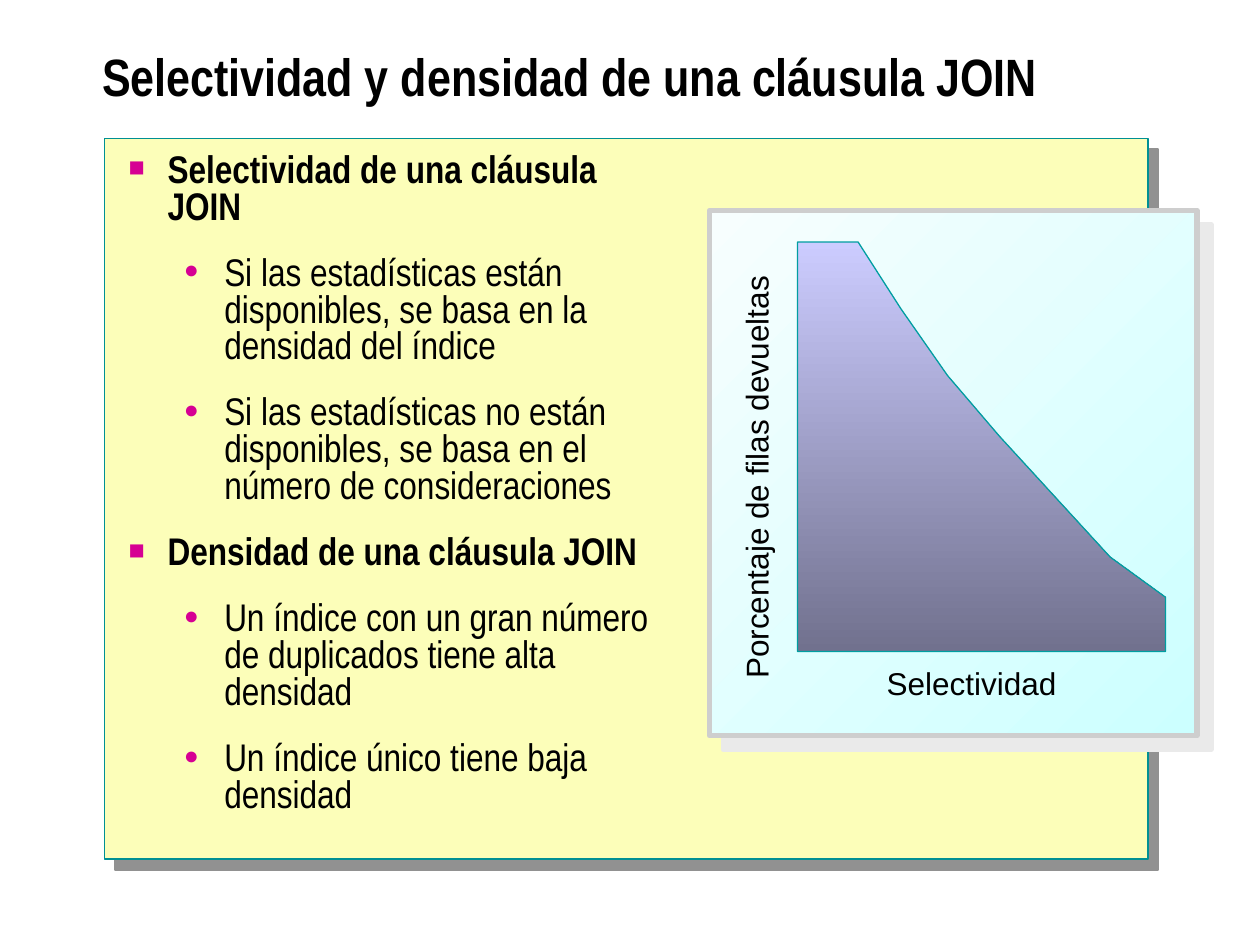
from lxml import etree
from pptx import Presentation
from pptx import util as u
from pptx.dml.color import RGBColor
from pptx.enum import shapes, text
from pptx.oxml import ns


def color(value):
    return RGBColor.from_string(value)


def write(paragraph, words, size=18, font="Arial", bold=False, align=text.PP_ALIGN.LEFT, spacing=1.0, before=0):
    paragraph.text = words
    paragraph.alignment = align
    paragraph.line_spacing = spacing
    paragraph.space_before = u.Pt(before)
    paragraph.font.size = u.Pt(size)
    paragraph.font.name = font
    paragraph.font.bold = bold
    paragraph.font.color.rgb = color("000000")


prs = Presentation()
prs.slide_width, prs.slide_height = u.Inches(10), u.Inches(7.5)
slide = prs.slides.add_slide(prs.slide_layouts[1])
title, points = slide.placeholders

panel_specs = [
    (0.83, 1.1, 8.28, 5.72, "009094", 1, "919191", 8.5),
    (5.63, 1.67, 3.87, 4.17, "CECECE", 3, "EAEAEA", 11.3),
]
panels = []
for left, top, width, height, edge, weight, shade, distance in panel_specs:
    panel = slide.shapes.add_shape(
        shapes.MSO_SHAPE.RECTANGLE, u.Inches(left), u.Inches(top), u.Inches(width), u.Inches(height))
    panel.shadow.inherit = False
    panel.line.color.rgb = color(edge)
    panel.line.width = u.Pt(weight)
    effects = panel._element.spPr.find(ns.qn("a:effectLst"))
    shadow = etree.SubElement(effects, ns.qn("a:outerShdw"), blurRad="0", dist=str(u.Pt(distance)),
                              dir="2700000", algn="ctr", rotWithShape="0")
    etree.SubElement(shadow, ns.qn("a:srgbClr"), val=shade)
    panels.append(panel)

background, chart_panel = panels
background.fill.solid()
background.fill.fore_color.rgb = color("FCFEB9")
slide.shapes._spTree.insert(2, background._element)

title.left, title.top, title.width, title.height = [u.Inches(n) for n in (0.71, 0.17, 8.96, 0.92)]
title.text_frame.auto_size = text.MSO_AUTO_SIZE.NONE
title.text_frame.vertical_anchor = text.MSO_ANCHOR.MIDDLE
write(title.text_frame.paragraphs[0], "Selectividad y densidad de una cláusula JOIN",
      size=30, font="Arial Narrow", bold=True, spacing=0.9)

points.left, points.top, points.width, points.height = [u.Inches(n) for n in (0.92, 1.17, 4.33, 5.58)]
points.text_frame.auto_size = text.MSO_AUTO_SIZE.NONE
points.text_frame.vertical_anchor = text.MSO_ANCHOR.TOP
levels = [("■", 70, 0.31, -0.31), ("●", 65, 0.76, -0.32)]
items = [
    (0, "Selectividad de una cláusula JOIN"),
    (1, "Si las estadísticas están disponibles, se basa en la densidad del índice"),
    (1, "Si las estadísticas no están disponibles, se basa en el número de consideraciones"),
    (0, "Densidad de una cláusula JOIN"),
    (1, "Un índice con un gran número de duplicados tiene alta densidad"),
    (1, "Un índice único tiene baja densidad"),
]
for index, (level, words) in enumerate(items):
    item = points.text_frame.add_paragraph() if index else points.text_frame.paragraphs[0]
    item.level = level
    mark, percent, margin, indent = levels[level]
    properties = item._p.get_or_add_pPr()
    properties.set("marL", str(u.Inches(margin)))
    properties.set("indent", str(u.Inches(indent)))
    bullet_color = etree.SubElement(properties, ns.qn("a:buClr"))
    etree.SubElement(bullet_color, ns.qn("a:srgbClr"), val="D60093")
    etree.SubElement(properties, ns.qn("a:buSzPct"), val=str(percent * 1000))
    etree.SubElement(properties, ns.qn("a:buFont"), typeface="Arial")
    etree.SubElement(properties, ns.qn("a:buChar"), char=mark)
    write(item, words, size=22, font="Arial Narrow", bold=level == 0, spacing=0.8, before=16.5 if index else 0)

curve = [(6.81, 1.92), (6.33, 1.92), (6.33, 5.17), (9.25, 5.17), (9.25, 4.74), (8.81, 4.42),
         (8.37, 3.94), (7.93, 3.46), (7.52, 2.98), (7.15, 2.45)]
corners = [(u.Inches(x), u.Inches(y)) for x, y in curve]
outline = slide.shapes.build_freeform(*corners[0])
outline.add_line_segments(corners[1:], close=True)
area = outline.convert_to_shape()
area.shadow.inherit = False
area.line.color.rgb = color("009EA1")
area.line.width = u.Pt(0.75)

for part, angle, stops in [(chart_panel, 135, ("CCFFFF", "F7FEFE")), (area, 270, ("CCCCFF", "71718E"))]:
    part.fill.gradient()
    part.fill.gradient_angle = angle
    for stop, value in zip(part.fill.gradient_stops, stops):
        stop.color.rgb = color(value)

axis_labels = [
    ("Selectividad", 6.92, 5.17, 1.58, 0, False),
    ("Porcentaje de filas devueltas", 4.04, 3.54, 3.92, 270, True),
]
for words, left, top, width, turn, wrap in axis_labels:
    label = slide.shapes.add_textbox(u.Inches(left), u.Inches(top), u.Inches(width), u.Inches(0.5))
    label.rotation = turn
    label.text_frame.word_wrap = wrap
    label.text_frame.vertical_anchor = text.MSO_ANCHOR.MIDDLE
    write(label.text_frame.paragraphs[0], words, align=text.PP_ALIGN.CENTER)

prs.save("out.pptx")
